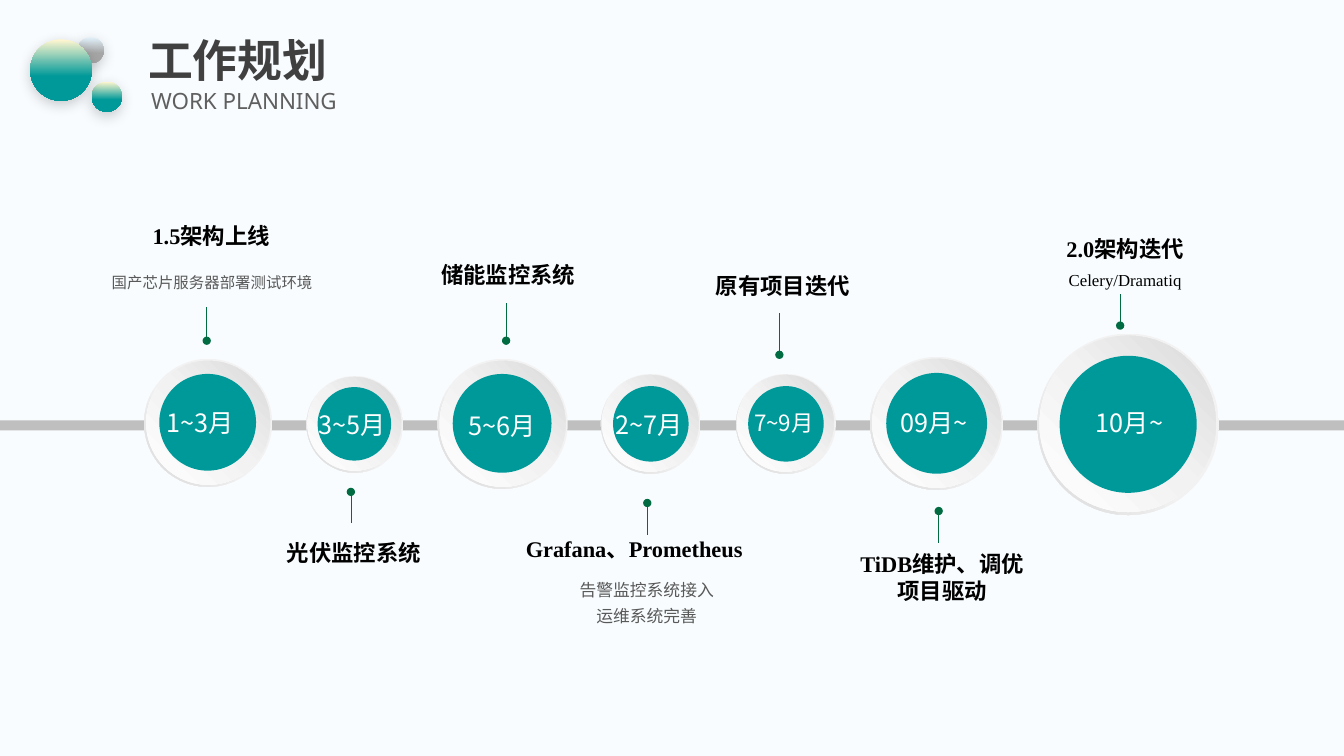
from lxml import etree
from pptx import Presentation
from pptx import util as u
from pptx.dml.color import RGBColor
from pptx.enum import shapes, text
from pptx.oxml.ns import qn

PX = u.Inches(1) // 100
SANS, CJK, SERIF = "Noto Sans", "Noto Sans CJK SC", "Times New Roman"
TEAL, GREEN, WHITE, GREY = "009999", "016B42", "FFFFFF", "595959"
RIM = [(0, "F2F2F2"), (55, "F2F2F2"), (100, "D9D9D9")]
DISC = [(0, "FFFFFF"), (51, "F2F2F2"), (100, "D9D9D9")]
BUBBLE = [(1, "FFF6CF"), (60, TEAL), (100, TEAL)]
GREY_BUBBLE = [(1, "E1F0F9"), (60, "A5A5A5"), (100, "A5A5A5")]

# ring left, top, diameter; month text, its left, top, width, size
STAGES = [
    (143, 356, 127, "1~3月", 145, 394, 123, 18),
    (304, 373, 96, "3~5月", 296, 396, 123, 18),
    (434, 356, 129, "5~6月", 445, 397, 125, 18),
    (596, 371, 99, "2~7月", 591, 396, 120, 18),
    (730, 371, 99, "7~9月", 728, 396, 116, 16),
    (863, 354, 132, "09月~", 873, 394, 130, 18),
    (1029, 331, 180, "10月~", 1067, 394, 120, 18),
]

# x, y of the dot, y of the far end
PINS = [
    (205, 338, 305), (502, 338, 301), (773, 352, 311), (1111, 323, 292),
    (348, 488, 519), (642, 499, 531), (931, 507, 539),
]

# left, top, width, height, text
HEADINGS = [
    (68, 220, 283, 27, "1.5架构上线"),
    (362, 259, 284, 27, "储能监控系统"),
    (673, 270, 207, 27, "原有项目迭代"),
    (1011, 233, 210, 27, "2.0架构迭代"),
    (488, 531, 282, 27, "Grafana、Prometheus"),
    (832, 546, 205, 54, "TiDB维护、调优\n项目驱动"),
]


def color(hex_string):
    return RGBColor.from_string(hex_string)


def add_gradient(shape, stops, angle):
    """Fill with (percent, colour) stops; angle in degrees clockwise."""
    shape.fill.gradient()
    shape.fill.gradient_angle = -angle % 360
    stop_list = shape._element.spPr.find(".//" + qn("a:gsLst"))
    for stop in list(stop_list):
        stop_list.remove(stop)
    for percent, hex_string in stops:
        stop = etree.SubElement(stop_list, qn("a:gs"), pos=str(percent * 1000))
        etree.SubElement(stop, qn("a:srgbClr"), val=hex_string)


def add_figure(page, kind, left, top, width, height, fill, angle=0):
    """Add a borderless shape; fill is a hex string or a list of stops."""
    shape = page.shapes.add_shape(kind, left * PX, top * PX, width * PX, height * PX)
    shape.shadow.inherit = False
    shape.line.fill.background()
    if isinstance(fill, str):
        shape.fill.solid()
        shape.fill.fore_color.rgb = color(fill)
    else:
        add_gradient(shape, fill, angle)
    return shape


def add_bubble(page, left, top, size, stops):
    bubble = add_figure(page, shapes.MSO_SHAPE.OVAL, left, top, size, size, stops, 90)
    effects = bubble._element.spPr.find(qn("a:effectLst"))
    shadow = etree.SubElement(effects, qn("a:outerShdw"), blurRad=str(u.Pt(10)),
                              dist=str(u.Pt(3)), dir="5400000", rotWithShape="0")
    black = etree.SubElement(shadow, qn("a:srgbClr"), val="000000")
    etree.SubElement(black, qn("a:alpha"), val="20000")


def add_text(page, left, top, width, height, content, font=SERIF, size=16,
             fill="000000", bold=False, align=text.PP_ALIGN.CENTER,
             anchor=text.MSO_ANCHOR.TOP, inset=(13, 7), spacing=1.0):
    box = page.shapes.add_textbox(left * PX, top * PX, width * PX, height * PX)
    frame = box.text_frame
    frame.word_wrap = True
    frame.auto_size = text.MSO_AUTO_SIZE.SHAPE_TO_FIT_TEXT
    frame.vertical_anchor = anchor
    frame.margin_left = frame.margin_right = inset[0] * PX
    frame.margin_top = frame.margin_bottom = inset[1] * PX
    for index, line in enumerate(content.split("\n")):
        para = frame.add_paragraph() if index else frame.paragraphs[0]
        para.alignment = align
        para.line_spacing = spacing
        span = para.add_run()
        span.text = line
        span.font.name = font
        span.font.size = u.Pt(size)
        span.font.bold = bold
        span.font.color.rgb = color(fill)
        etree.SubElement(span.font._element, qn("a:ea"), typeface=CJK)


def add_stage(page, left, top, size, month, text_left, text_top, text_width, text_size):
    """Add a rim, a raised disc and a teal core, with the month on top."""
    oval = shapes.MSO_SHAPE.OVAL
    rim = add_figure(page, shapes.MSO_SHAPE.DONUT, left, top, size, size, RIM, 135)
    rim.adjustments[0] = 0.05
    disc, core = round(size * 0.97), round(size * 0.756)
    edge, gap = (size - disc) // 2, (size - core) // 2
    add_figure(page, oval, left + edge, top + edge, disc, disc, DISC, 315)
    add_figure(page, oval, left + gap, top + gap, core, core, TEAL)
    add_text(page, text_left, text_top, text_width, 50, month, font=CJK, size=text_size,
             fill=WHITE, align=text.PP_ALIGN.LEFT, inset=(20, 10))


def add_pin(page, x, dot_y, end_y):
    pin = page.shapes.add_connector(shapes.MSO_CONNECTOR.STRAIGHT,
                                    x * PX, dot_y * PX, x * PX, end_y * PX)
    pin.line.color.rgb = color(GREEN)
    pin.line.width = u.Pt(0.5)
    properties = pin._element.spPr
    etree.SubElement(properties.find(qn("a:ln")), qn("a:headEnd"), type="oval")
    etree.SubElement(properties, qn("a:effectLst"))


def add_header(page):
    add_bubble(page, 77, 37, 26, GREY_BUBBLE)
    add_bubble(page, 91, 81, 30, BUBBLE)
    add_bubble(page, 30, 39, 61, BUBBLE)
    layout = dict(font=SANS, align=text.PP_ALIGN.LEFT, anchor=text.MSO_ANCHOR.MIDDLE,
                  inset=(10, 5), spacing=0.9)
    add_text(page, 137, 33, 1150, 59, "工作规划", size=32, fill="404040", bold=True, **layout)
    add_text(page, 140, 84, 917, 34, "WORK PLANNING", fill="5F5F5F", **layout)


def main():
    deck = Presentation()
    deck.slide_width, deck.slide_height = u.Inches(13.33), u.Inches(7.5)
    page = deck.slides.add_slide(deck.slide_layouts[6])
    page.background.fill.solid()
    page.background.fill.fore_color.rgb = color("F8FCFE")

    add_header(page)
    add_figure(page, shapes.MSO_SHAPE.RECTANGLE, 0, 417, 1333, 10, "BFBFBF")
    for stage in STAGES:
        add_stage(page, *stage)
    for pin in PINS:
        add_pin(page, *pin)
    for heading in HEADINGS:
        add_text(page, *heading, bold=True, inset=(13, 0))
    add_text(page, 218, 520, 266, 45, "光伏监控系统", bold=True, spacing=1.3)
    add_text(page, 92, 258, 237, 35, "国产芯片服务器部署测试环境",
             font=CJK, size=11, fill=GREY, spacing=1.3)
    add_text(page, 1003, 251, 226, 40, "Celery/Dramatiq", size=12, spacing=1.5)
    add_text(page, 523, 562, 237, 64, "告警监控系统接入\n运维系统完善",
             font=CJK, size=12, fill=GREY, spacing=1.3)
    deck.save("out.pptx")


if __name__ == "__main__":
    main()
